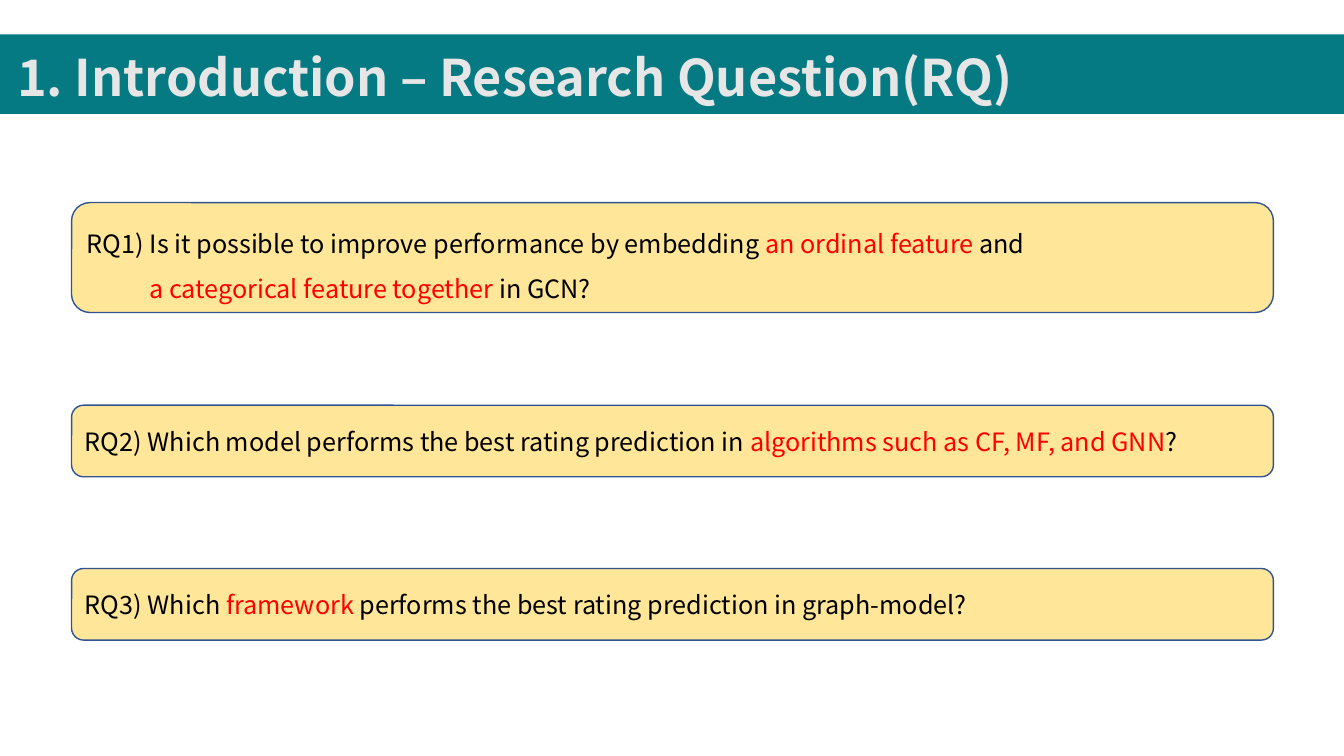
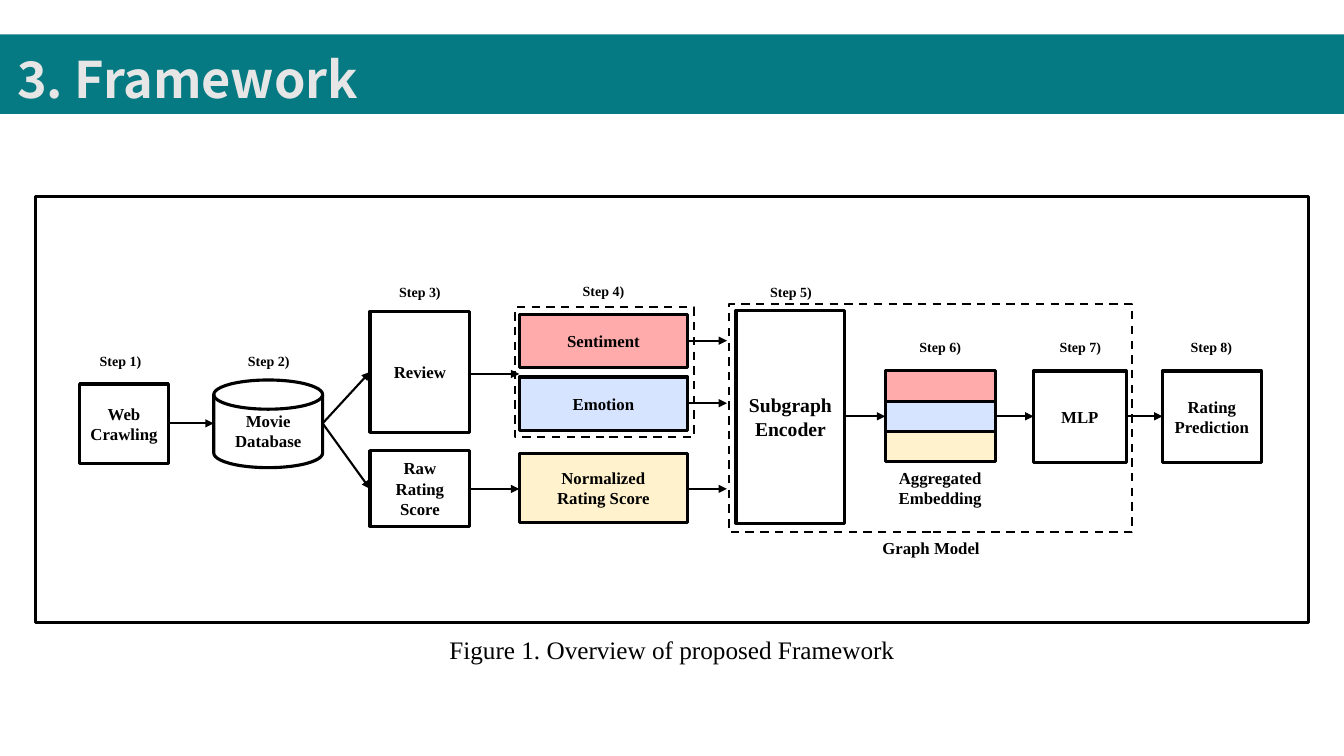
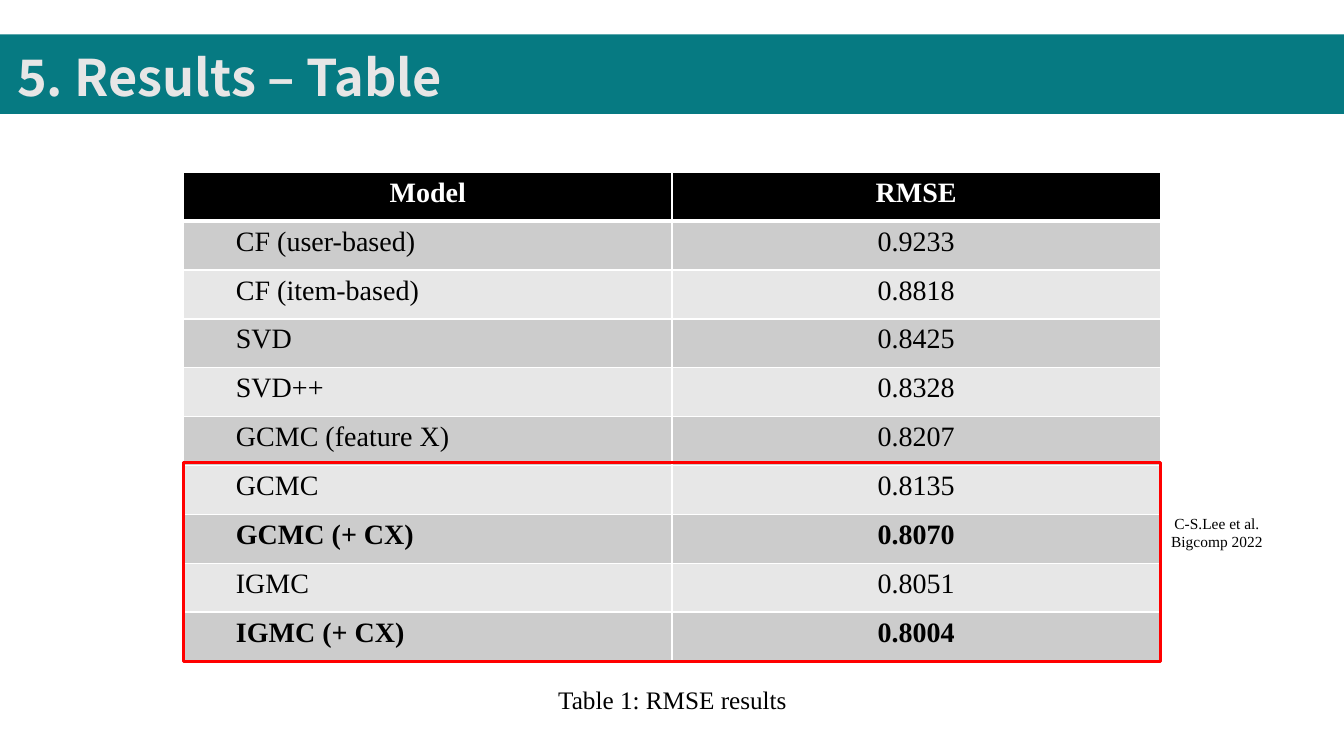
import pptx
import pptx.util
import pptx.dml.color
import pptx.enum.dml
import pptx.enum.shapes
import pptx.enum.text
import pptx.oxml
import pptx.oxml.ns
import lxml.etree

Inches = pptx.util.Inches
Pt = pptx.util.Pt
RGB = pptx.dml.color.RGBColor.from_string
SHAPE = pptx.enum.shapes.MSO_SHAPE
ALIGN = pptx.enum.text.PP_ALIGN
ANCHOR = pptx.enum.text.MSO_ANCHOR
qn = pptx.oxml.ns.qn

COLORS = {
    "teal": "067A82", "title": "E7E6E6", "black": "000000", "white": "FFFFFF",
    "red": "FF0000", "sand": "FFE699", "navy": "325491", "pink": "FFABAB",
    "blue": "D7E4FF", "cream": "FFF2CC", "dark_row": "CCCCCC", "light_row": "E7E7E7",
}
SANS = "Noto Sans CJK KR"
SERIF = "Times New Roman"


def write(tf, text, size=12, font=SERIF, color="black", bold=False, align=ALIGN.CENTER,
          anchor=ANCHOR.TOP, spacing=None, indent=0):
    tf.word_wrap = True
    tf.vertical_anchor = anchor
    for i, line in enumerate(text.split("\n")):
        p = tf.paragraphs[0] if i == 0 else tf.add_paragraph()
        p.alignment = align
        if spacing:
            p.line_spacing = spacing
        if i and indent:
            p._p.get_or_add_pPr().set("marL", str(Inches(indent)))
        for j, part in enumerate(line.split("|")):
            if part:
                r = p.add_run()
                r.text = part
                r.font.size = Pt(size)
                r.font.name = font
                r.font.bold = bold
                r.font.color.rgb = RGB(COLORS["red" if j % 2 else color])


def add_box(s, at, kind=SHAPE.RECTANGLE, fill=None, line="black", width=2.25, dash=False):
    sp = s.shapes.add_shape(kind, *[Inches(v) for v in at])
    sp.shadow.inherit = False
    if fill:
        sp.fill.solid()
        sp.fill.fore_color.rgb = RGB(COLORS[fill])
    else:
        sp.fill.background()
    if line:
        sp.line.color.rgb = RGB(COLORS[line])
        sp.line.width = Pt(width)
    else:
        sp.line.fill.background()
    if dash:
        sp.line.dash_style = pptx.enum.dml.MSO_LINE.DASH
    return sp


prs = pptx.Presentation()
prs.slide_width = Inches(13.33)
prs.slide_height = Inches(7.5)

slides = []
for text, top in [("1. Introduction – Research Question(RQ)", 0.15),
                  ("3. Framework", 0.17),
                  ("5. Results – Table", 0.15)]:
    s = prs.slides.add_slide(prs.slide_layouts[5])
    band = add_box(s, (0, 0.34, 13.33, 0.79), fill="teal", line=None)
    title = s.shapes.title
    title.element.addprevious(band.element)
    title.left, title.top = Inches(0.07), Inches(top)
    title.width, title.height = Inches(13.27), Inches(0.92)
    write(title.text_frame, text, size=36, font=SANS, color="title", bold=True,
          align=ALIGN.LEFT, anchor=ANCHOR.MIDDLE, spacing=1.5)
    title.text_frame.auto_size = pptx.enum.text.MSO_AUTO_SIZE.NONE
    slides.append(s)
intro, framework, results = slides

questions = [
    (2.01, 1.09, ANCHOR.TOP, 1.5,
     "RQ1) Is it possible to improve performance by embedding |an ordinal feature |and\n"
     "|a categorical feature together| in GCN?"),
    (4.02, 0.71, ANCHOR.MIDDLE, None,
     "RQ2) Which model performs the best rating prediction in "
     "|algorithms such as CF, MF, and GNN|?"),
    (5.64, 0.71, ANCHOR.MIDDLE, None,
     "RQ3) Which| framework |performs the best rating prediction in graph-model?"),
]
for top, height, anchor, spacing, text in questions:
    sp = add_box(intro, (0.71, top, 11.92, height), SHAPE.ROUNDED_RECTANGLE,
                 fill="sand", line="navy", width=1)
    write(sp.text_frame, text, size=18, font=SANS, align=ALIGN.LEFT,
          anchor=anchor, spacing=spacing, indent=0.62)

s = framework
add_box(s, (0.35, 1.95, 12.63, 4.23))
blocks = [
    ("Web\nCrawling", (0.79, 3.81, 0.88, 0.79), None),
    ("Movie\nDatabase", (2.12, 3.77, 1.08, 0.87), None),
    ("Review", (3.67, 3.09, 0.99, 1.2), None),
    ("Raw Rating Score", (3.67, 4.47, 0.99, 0.75), None),
    ("Sentiment", (5.15, 3.12, 1.67, 0.53), "pink"),
    ("Emotion", (5.15, 3.74, 1.67, 0.53), "blue"),
    ("Normalized\nRating Score", (5.15, 4.5, 1.67, 0.68), "cream"),
    ("Subgraph\nEncoder", (7.3, 3.08, 1.08, 2.11), "white"),
    ("MLP", (10.25, 3.68, 0.92, 0.91), None),
    ("Rating\nPrediction", (11.53, 3.68, 0.98, 0.91), None),
]
for text, at, fill in blocks:
    kind = SHAPE.FLOWCHART_MAGNETIC_DISK if text.startswith("Movie") else SHAPE.RECTANGLE
    sp = add_box(s, at, kind, fill=fill)
    write(sp.text_frame, text, size=14 if text.startswith("Subgraph") else 12,
          bold=True, anchor=ANCHOR.MIDDLE)

arrows = [
    (1.67, 4.2, 2.12, 4.2), (3.2, 4.2, 3.67, 3.69), (3.2, 4.2, 3.67, 4.85),
    (4.66, 3.71, 5.15, 3.71), (4.66, 4.85, 5.15, 4.85),
    (6.82, 3.38, 7.21, 3.38), (6.82, 4, 7.21, 4), (6.82, 4.85, 7.21, 4.85),
    (8.38, 4.13, 8.78, 4.13), (9.87, 4.13, 10.25, 4.13), (11.17, 4.13, 11.53, 4.13),
]
for ends in arrows:
    arrow = s.shapes.add_connector(pptx.enum.shapes.MSO_CONNECTOR.STRAIGHT,
                                   *[Inches(v) for v in ends])
    arrow.line.color.rgb = RGB(COLORS["black"])
    arrow.line.width = Pt(1.5)
    lxml.etree.SubElement(arrow.line._get_or_add_ln(), qn("a:tailEnd"), type="triangle")
    lxml.etree.SubElement(arrow.element.spPr, qn("a:effectLst"))

for i, fill in enumerate(["pink", "blue", "cream"]):
    add_box(s, (8.78, 3.68 + 0.3 * i, 1.09, 0.3), fill=fill)
for at in [(5.11, 3.05, 1.77, 1.29), (7.23, 3.02, 4, 2.26)]:
    add_box(s, at, width=1.5, dash=True)

steps = [(0.86, 3.45), (2.33, 3.45), (3.83, 2.76), (5.65, 2.75),
         (7.51, 2.76), (8.99, 3.31), (10.38, 3.31), (11.68, 3.31)]
labels = [(s, f"Step {n})", (x, y, 0.67, 0.27), 10, True)
          for n, (x, y) in enumerate(steps, 1)]
labels += [
    (s, "Aggregated\nEmbedding", (8.69, 4.59, 1.27, 0.5), 12, True),
    (s, "Graph Model", (8.6, 5.29, 1.27, 0.3), 12, True),
    (s, "Figure 1. Overview of proposed Framework", (4.08, 6.24, 5.17, 0.4), 18, False),
    (results, "Table 1: RMSE results", (4.1, 6.74, 5.14, 0.4), 18, False),
    (results, "C-S.Lee et al.\nBigcomp 2022", (11.27, 5.05, 1.6, 0.47), 11, False),
]
for s, text, at, size, bold in labels:
    tb = s.shapes.add_textbox(*[Inches(v) for v in at])
    write(tb.text_frame, text, size=size, bold=bold)

rows = [
    ("Model", "RMSE"),
    ("CF (user-based)", "0.9233"),
    ("CF (item-based)", "0.8818"),
    ("SVD", "0.8425"),
    ("SVD++", "0.8328"),
    ("GCMC (feature X)", "0.8207"),
    ("GCMC", "0.8135"),
    ("GCMC (+ CX)", "0.8070"),
    ("IGMC", "0.8051"),
    ("IGMC (+ CX)", "0.8004"),
]
table = results.shapes.add_table(len(rows), 2, Inches(1.82), Inches(1.71),
                                 Inches(9.69), Inches(4.85)).table
for r, row in enumerate(rows):
    for c, text in enumerate(row):
        cell = table.cell(r, c)
        header = r == 0
        name = c == 0 and not header
        if name:
            cell.margin_left = Inches(0.52)
        write(cell.text_frame, text, size=20, color="white" if header else "black",
              bold=header or "+ CX" in row[0], align=ALIGN.LEFT if name else ALIGN.CENTER)
        cell.fill.solid()
        fill = "black" if header else "dark_row" if r % 2 else "light_row"
        cell.fill.fore_color.rgb = RGB(COLORS[fill])
        tcPr = cell._tc.get_or_add_tcPr()
        for i, side in enumerate(["lnL", "lnR", "lnT", "lnB"]):
            thick = (r, side) in [(0, "lnB"), (1, "lnT")]
            ln = lxml.etree.Element(qn("a:" + side), w=str(Pt(3 if thick else 1)))
            solid = lxml.etree.SubElement(ln, qn("a:solidFill"))
            lxml.etree.SubElement(solid, qn("a:srgbClr"), val=COLORS["white"])
            tcPr.insert(i, ln)
add_box(results, (1.82, 4.59, 9.69, 1.97), line="red")

prs.save("out.pptx")
